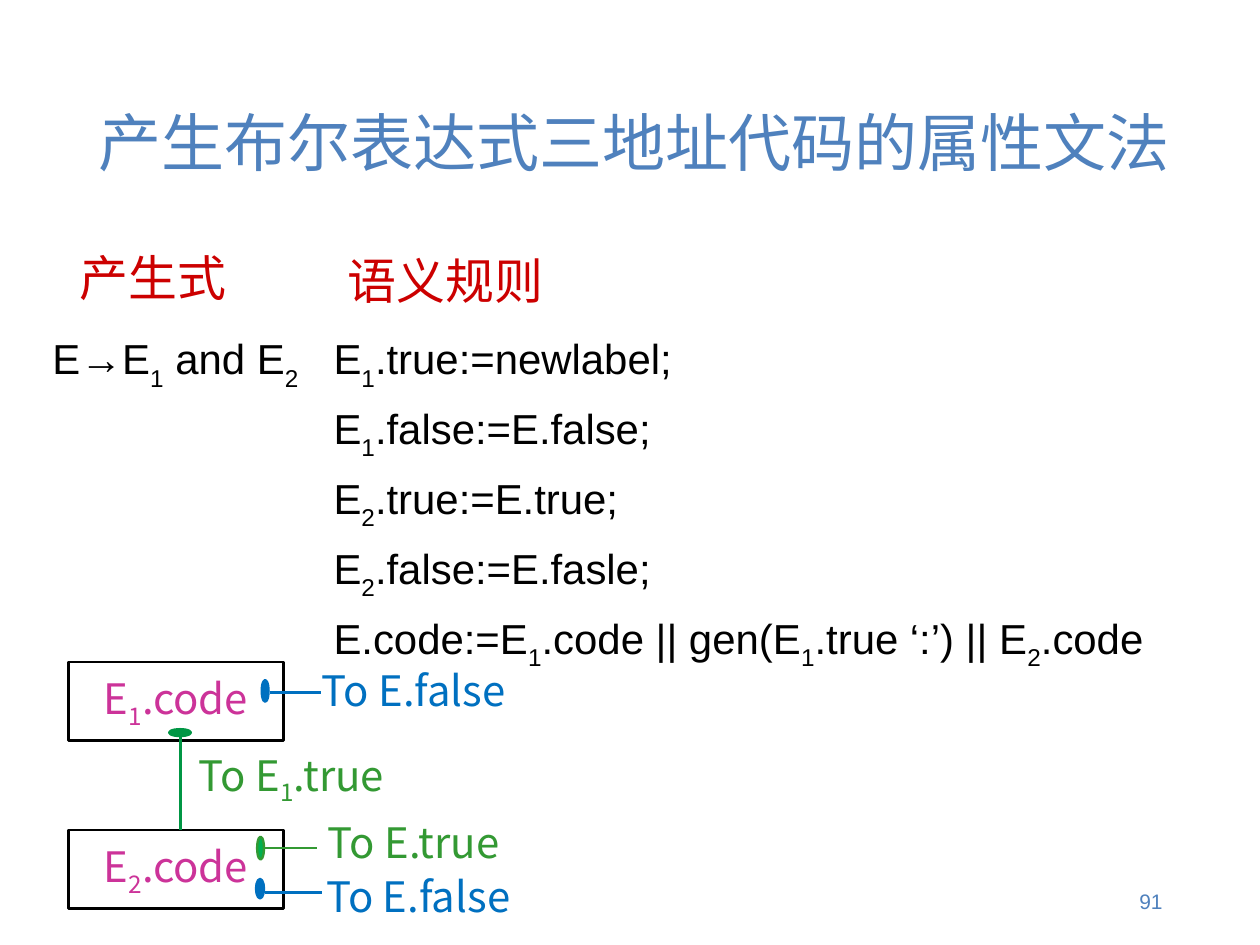
"""Build the slide on the attribute grammar for Boolean expressions."""
from lxml import etree
from pptx import Presentation
from pptx import util as u
from pptx.dml.color import RGBColor
from pptx.enum import shapes, text
from pptx.oxml import ns

HAN = "Noto Sans CJK SC"
LATIN = "Arial"
BLUE, GREEN, DARK_GREEN, LEAF = "0070C0", "339933", "009644", "00B050"
TITLE, RED, PINK, BLACK = "4F81BD", "CC0000", "CC3399", "000000"
TITLE_SIZE, HEAD_SIZE, BODY_SIZE, NUMBER_SIZE = 39.69, 30.87, 26.46, 13.23
LEFT, CENTER, RIGHT = text.PP_ALIGN.LEFT, text.PP_ALIGN.CENTER, text.PP_ALIGN.RIGHT
TOP, MIDDLE = text.MSO_ANCHOR.TOP, text.MSO_ANCHOR.MIDDLE

RULES = [
    "E_1.true:=newlabel;",
    "E_1.false:=E.false;",
    "E_2.true:=E.true;",
    "E_2.false:=E.fasle;",
    "E.code:=E_1.code || gen(E_1.true ‘:’) || E_2.code",
]
CODE_BOXES = [("E_1.code", 5.79), ("E_2.code", 7.26)]
JUMP_LABELS = [
    ("To E.false", 2.67, 5.7, BLUE),
    ("To E_1.true", 1.6, 6.47, GREEN),
    ("To E.true", 2.67, 7.03, GREEN),
    ("To E.false", 2.71, 7.5, BLUE),
]
JUMPS = [
    ((2.36, 6.06, 2.81, 6.06), (2.29, 5.95, 0.06, 0.19), BLUE, BLUE),
    ((1.58, 6.45, 1.58, 7.26), (1.48, 6.38, 0.19, 0.06), DARK_GREEN, DARK_GREEN),
    ((2.31, 7.42, 2.77, 7.42), (2.25, 7.32, 0.06, 0.2), GREEN, LEAF),
    ((2.32, 7.81, 2.82, 7.81), (2.24, 7.69, 0.07, 0.17), BLUE, BLUE),
]


def color(value):
    """Turn a hex string into a colour."""
    return RGBColor.from_string(value)


def inches(values):
    """Turn numbers into lengths."""
    return [u.Inches(value) for value in values]


def add_span(para, words, size, font, hue, base=0):
    """Add one run, lowered by base percent of its size."""
    span = para.add_run()
    span.text = words
    span.font.size = u.Pt(size)
    span.font.name = font
    span.font.color.rgb = color(hue)
    properties = span._r.get_or_add_rPr()
    etree.SubElement(properties, ns.qn("a:ea")).set("typeface", font)
    if base:
        properties.set("baseline", str(base * 1000))


def write(shape, lines, size, font, hue, align=LEFT, anchor=TOP,
          wrap=False, base=-25, before=0, spacing=None):
    """Write lines into a shape; an underscore lowers the next character."""
    frame = shape.text_frame
    frame.word_wrap = wrap
    frame.vertical_anchor = anchor
    for index, line in enumerate(lines):
        para = frame.add_paragraph() if index else frame.paragraphs[0]
        para.alignment = align
        if index:
            para.space_before = u.Pt(before)
        if spacing:
            para.line_spacing = spacing
        start, *pieces = line.split("_")
        add_span(para, start, size, font, hue)
        for piece in pieces:
            add_span(para, piece[0], size, font, hue, base)
            if piece[1:]:
                add_span(para, piece[1:], size, font, hue)


def add_label(page, place, lines, size, font, hue, **style):
    """Add a text box."""
    box = page.shapes.add_textbox(*inches(place))
    write(box, lines, size, font, hue, **style)


def add_code_box(page, words, top):
    """Add an outlined box that stands for generated code."""
    box = page.shapes.add_shape(shapes.MSO_SHAPE.RECTANGLE,
                                *inches((0.6, top, 1.88, 0.69)))
    box.shadow.inherit = False
    box.fill.background()
    box.line.color.rgb = color(BLACK)
    box.line.width = u.Pt(1.5)
    write(box, [words], BODY_SIZE, HAN, PINK, align=CENTER, anchor=MIDDLE)


def add_jump(page, ends, place, hue, fill):
    """Add a jump line with the dot where it starts."""
    line = page.shapes.add_connector(shapes.MSO_CONNECTOR.STRAIGHT, *inches(ends))
    dot = page.shapes.add_shape(shapes.MSO_SHAPE.OVAL, *inches(place))
    dot.shadow.inherit = False
    dot.fill.solid()
    dot.fill.fore_color.rgb = color(fill)
    for shape in (line, dot):
        shape.line.color.rgb = color(hue)
        shape.line.width = u.Pt(1.5)
    etree.SubElement(line._element.spPr, ns.qn("a:effectLst"))


def main():
    """Build and save the deck."""
    deck = Presentation()
    deck.slide_width, deck.slide_height = inches((28 / 2.54, 21 / 2.54))
    page = deck.slides.add_slide(deck.slide_layouts[6])
    add_label(page, (0.76, 0.44, 9.98, 1.6), ["产生布尔表达式三地址代码的属性文法"],
              TITLE_SIZE, HAN, TITLE, anchor=MIDDLE, wrap=True)
    for words, top in CODE_BOXES:
        add_code_box(page, words, top)
    for jump in JUMPS:
        add_jump(page, *jump)
    for words, left, top, hue in JUMP_LABELS:
        add_label(page, (left, top, 1.9, 0.67), [words], BODY_SIZE, HAN, hue,
                  align=CENTER, anchor=MIDDLE)
    add_label(page, (2.82, 2.86, 7.43, 2.72), RULES, BODY_SIZE, LATIN, BLACK,
              base=-30, before=6.6)
    add_label(page, (0.36, 2.86, 2.42, 0.55), ["E→E_1 and E_2"], BODY_SIZE, LATIN,
              BLACK, base=-30)
    add_label(page, (0.6, 2.12, 1.5, 0.62), ["产生式"], HEAD_SIZE, HAN, RED)
    add_label(page, (2.94, 2.2, 1.93, 0.57), ["语义规则"], HEAD_SIZE, HAN, RED,
              spacing=0.9)
    add_label(page, (7.79, 7.66, 2.48, 0.44), ["91"], NUMBER_SIZE, LATIN, TITLE,
              align=RIGHT, anchor=MIDDLE, wrap=True)
    deck.save("out.pptx")


if __name__ == "__main__":
    main()
